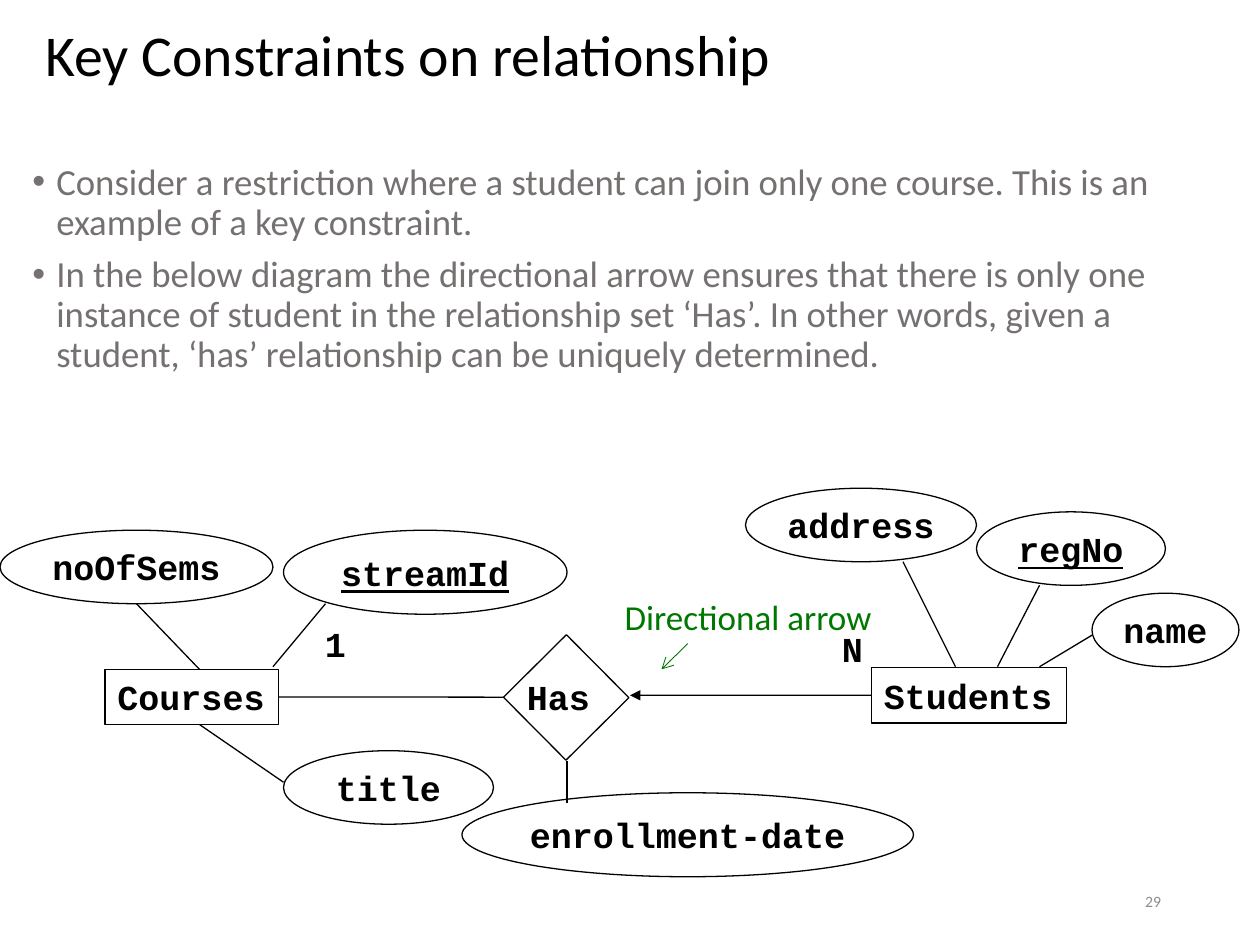
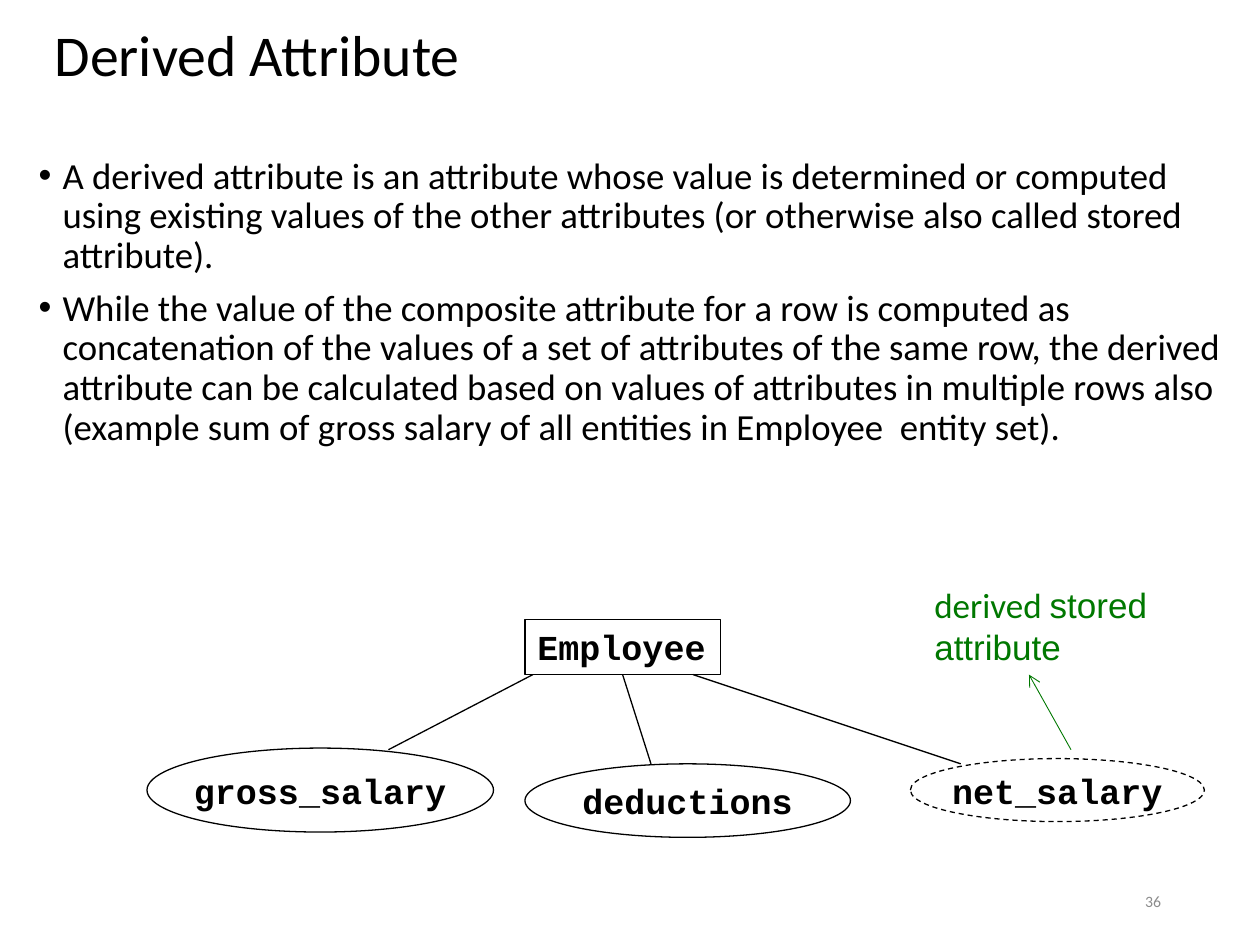
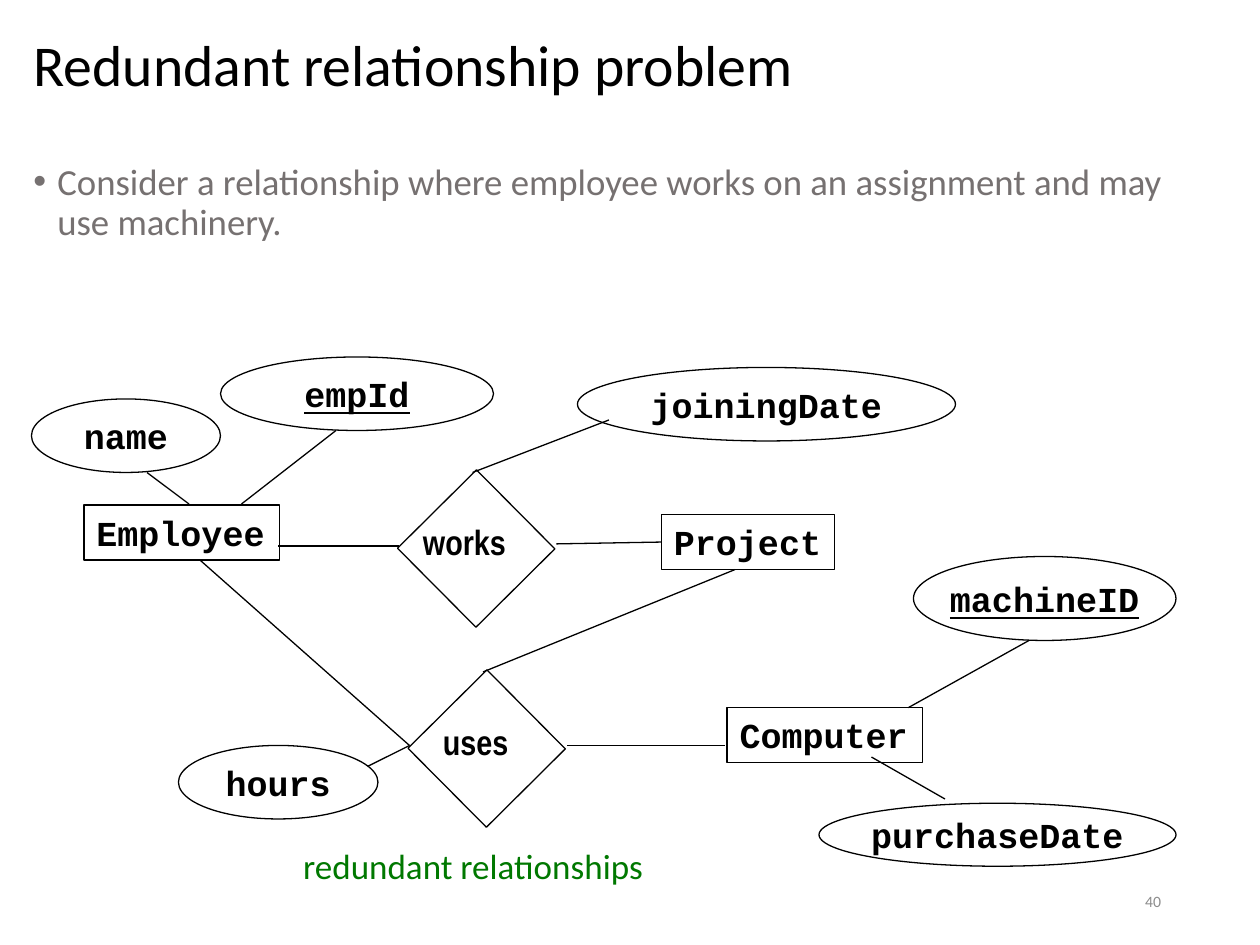
from lxml.etree import SubElement
from pptx import Presentation
from pptx.dml.color import RGBColor
from pptx.enum.dml import MSO_LINE
from pptx.enum.shapes import MSO_CONNECTOR, MSO_SHAPE
from pptx.enum.text import MSO_ANCHOR, MSO_AUTO_SIZE, PP_ALIGN
from pptx.oxml.ns import qn
from pptx.util import Inches, Pt

BLACK = RGBColor(0x00, 0x00, 0x00)
GREY = RGBColor(0x76, 0x71, 0x71)
PALE_GREY = RGBColor(0x8C, 0x8C, 0x8C)
GREEN = RGBColor(0x00, 0x78, 0x00)
SANS, MONO, NARROW = "Calibri", "Courier New", "Arial Narrow"

# The slide is a grid of 120 columns by 90 rows; every place below counts cells.
COLUMNS, ROWS = 120, 90
CELL = Inches(10) / COLUMNS
LINE_HEIGHT = 5.25
LEFT, BOTTOM, RIGHT = 1, 2, 3

KEY_ATTRIBUTES = {"regNo", "streamId", "empId", "machineID"}
DERIVED_ATTRIBUTES = {"net_salary"}

# entities: name, x, y, width             attributes: name, x, y, width, height
# relations: name, square x, y, side, label x, y, width, font
# labels: text, x, y, width, font, bold, colour
# lines and arrows: two ends, each a grid point or an entity and its side
SLIDES = [
    {
        "title": ("Key Constraints on relationship", 3.1, 0, 109, 11),
        "body": (1.9, 15, 116, 33, GREY),
        "bullets": [
            "Consider a restriction where a student can join only one course. "
            "This is an example of a key constraint.",
            "In the below diagram the directional arrow ensures that there is only one "
            "instance of student in the relationship set ‘Has’. In other words, given a "
            "student, ‘has’ relationship can be uniquely determined.",
        ],
        "number": "29",
        "entities": [("Courses", 10, 63.75, 16.5), ("Students", 83, 63.6, 18.6)],
        "attributes": [
            ("regNo", 93, 48.75, 18, 7), ("name", 104, 56.5, 14, 7),
            ("address", 71, 46.5, 22, 7), ("streamId", 27, 50.5, 27, 8),
            ("title", 27, 71.5, 20, 7), ("noOfSems", 0, 50.5, 26, 7),
            ("enrollment-date", 44, 75.5, 43, 8),
        ],
        "relations": [("Has", 49.7, 62.2, 8.45, 49, 63.75, 8.6, MONO)],
        "labels": [
            ("1", 29.75, 58.7, 4.4, MONO, True, BLACK),
            ("N", 79, 59.15, 4.4, MONO, True, BLACK),
            ("Directional arrow", 58.3, 56.15, 27.7, SANS, False, GREEN),
        ],
        "lines": [
            (("Courses", RIGHT), (48, 66.4)), ((31, 57.5), (26, 63.5)),
            ((19, 69), (27, 74.5)), ((95, 63.5), (99, 55.75)),
            ((19, 63.75), (13, 57.5)), ((91, 63.5), (86, 53.5)),
            ((54, 72.5), (54, 76.5)), ((99, 63.5), (104, 60.5)),
        ],
        "arrows": [
            (("Students", LEFT), (60, 66.22), BLACK, "triangle"),
            ((65.5, 61.3), (63, 63.75), GREEN, "arrow"),
        ],
    },
    {
        "title": ("Derived Attribute", 4, 0, 102, 11),
        "body": (2.5, 14.4, 116.2, 47, BLACK),
        "bullets": [
            "A derived attribute is an attribute whose value is determined or computed "
            "using existing values of the other attributes (or otherwise also called "
            "stored attribute).",
            "While the value of the composite attribute for a row is computed as "
            "concatenation of the values of a set of attributes of the same row, the "
            "derived attribute can be calculated based on values of attributes in "
            "multiple rows also (example sum of gross salary of all entities in "
            "Employee  entity set).",
        ],
        "number": "36",
        "entities": [("Employee", 50, 59, 18.6)],
        "attributes": [
            ("deductions", 50, 72.75, 31, 7), ("gross_salary", 14, 71.25, 33, 8),
            ("net_salary", 86.7, 72.25, 28, 6),
        ],
        "relations": [],
        "labels": [],
        "lines": [
            ((37, 71.4), (50.75, 64.25)), (("Employee", BOTTOM), (62, 72.75)),
            ((66, 64.25), (91.5, 72.75)),
        ],
        "arrows": [((102, 71.4), (98, 64.25), GREEN, "arrow")],
    },
    {
        "title": ("Redundant relationship problem", 2, -1, 120, 15),
        "body": (2, 15, 112, 12, GREY),
        "bullets": [
            "Consider a relationship where employee works on an assignment and may use "
            "machinery.",
        ],
        "number": "40",
        "entities": [
            ("Employee", 8, 48.1, 18.6), ("Project", 63, 49, 16.5),
            ("Computer", 69.25, 67.4, 18.6),
        ],
        "attributes": [
            ("name", 3, 38, 18, 7), ("joiningDate", 55, 35, 36, 7),
            ("machineID", 87, 53, 25, 8), ("purchaseDate", 78, 76.5, 34, 6),
            ("empId", 21, 34, 26, 7), ("hours", 17, 71, 19, 7),
        ],
        "relations": [
            ("works", 40.05, 46.95, 10.6, 39.1, 49, 10.4, NARROW),
            ("uses", 41.05, 66, 10.6, 41, 68, 8.8, NARROW),
        ],
        "labels": [("redundant relationships", 27.7, 79.8, 37.4, SANS, False, GREEN)],
        "lines": [
            ((18, 48), (14, 45)), ((23, 48), (32, 41)), ((26.5, 52), (38, 52)),
            ((53, 51.8), ("Project", LEFT)), ((19, 53.3), (39, 71)),
            ((54, 71), (69, 71)), ((86.5, 67.4), (98, 61)), ((83, 72.1), (90, 76.1)),
            ((45, 45), (58, 40)), ((39, 71), (35, 73)), ((70, 54.25), (46, 64)),
        ],
        "arrows": [],
    },
]


def cells(*counts):
    return [round(count * CELL) for count in counts]


def write(shape, text, font, size, color, bold=False, anchor=MSO_ANCHOR.TOP,
          align=PP_ALIGN.LEFT, wrap=False):
    """Put one paragraph in the shape and return it."""
    frame = shape.text_frame
    frame.word_wrap = wrap
    frame.vertical_anchor = anchor
    para = frame.paragraphs[0]
    para.add_run().text = text
    para.alignment = align
    para.font.name, para.font.size, para.font.bold = font, Pt(size), bold
    para.font.color.rgb = color
    return para


deck = Presentation()
deck.slide_width, deck.slide_height = cells(COLUMNS, ROWS)
title_only = deck.slide_layouts[5]

for content in SLIDES:
    page = deck.slides.add_slide(title_only)
    shapes = page.shapes

    heading, *place = content["title"]
    title = shapes.title
    title.left, title.top, title.width, title.height = cells(*place)
    para = write(title, heading, SANS, 33, BLACK, anchor=MSO_ANCHOR.MIDDLE, wrap=True)
    para.line_spacing = 0.9
    title.text_frame.auto_size = MSO_AUTO_SIZE.NONE

    *place, body_color = content["body"]
    body = shapes.add_textbox(*cells(*place)).text_frame
    body.word_wrap = True
    for index, bullet in enumerate(content["bullets"]):
        para = body.add_paragraph() if index else body.paragraphs[0]
        para.add_run().text = bullet
        properties = para._p.get_or_add_pPr()
        properties.set("marL", str(Inches(0.19)))
        properties.set("indent", str(-Inches(0.19)))
        SubElement(properties, qn("a:buFont")).set("typeface", "Arial")
        SubElement(properties, qn("a:buChar")).set("char", "•")
        para.line_spacing = 0.9
        para.space_before = Pt(7.5 if index else 0)
        para.font.name, para.font.size = SANS, Pt(21)
        para.font.color.rgb = body_color

    number_box = shapes.add_textbox(*cells(84.75, 83.4, 27, 4.8))
    write(number_box, content["number"], SANS, 9, PALE_GREY,
          anchor=MSO_ANCHOR.MIDDLE, align=PP_ALIGN.RIGHT, wrap=True)

    outlined = []
    entities = {}
    for name, x, y, width in content["entities"]:
        box = shapes.add_shape(MSO_SHAPE.RECTANGLE, *cells(x, y, width, LINE_HEIGHT))
        write(box, name, MONO, 20, BLACK, bold=True)
        entities[name] = box
        outlined.append(box)

    for name, *place in content["attributes"]:
        oval = shapes.add_shape(MSO_SHAPE.OVAL, *cells(*place))
        para = write(oval, name, MONO, 20, BLACK, bold=True,
                     anchor=MSO_ANCHOR.MIDDLE, align=PP_ALIGN.CENTER)
        if name in KEY_ATTRIBUTES:
            para.font.underline = True
        if name in DERIVED_ATTRIBUTES:
            oval.line.dash_style = MSO_LINE.DASH
        outlined.append(oval)

    labels = list(content["labels"])
    for name, x, y, side, label_x, label_y, width, font in content["relations"]:
        square = shapes.add_shape(MSO_SHAPE.RECTANGLE, *cells(x, y, side, side))
        square.rotation = 45.2
        outlined.append(square)
        labels.append((name, label_x, label_y, width, font, True, BLACK))

    for shape in outlined:
        shape.shadow.inherit = False
        shape.fill.background()
        shape.line.color.rgb = BLACK
        shape.line.width = Pt(0.75)

    for text, x, y, width, font, bold, color in labels:
        label = shapes.add_textbox(*cells(x, y, width, LINE_HEIGHT))
        write(label, text, font, 20, color, bold)
        label.text_frame.auto_size = MSO_AUTO_SIZE.SHAPE_TO_FIT_TEXT

    plain_lines = [(start, end, BLACK, None) for start, end in content["lines"]]
    for start, end, color, head in plain_lines + content["arrows"]:
        points = [(0, 0) if point[0] in entities else point for point in (start, end)]
        link = shapes.add_connector(MSO_CONNECTOR.STRAIGHT, *cells(*points[0], *points[1]))
        if start[0] in entities:
            link.begin_connect(entities[start[0]], start[1])
        if end[0] in entities:
            link.end_connect(entities[end[0]], end[1])
        link.line.color.rgb = color
        link.line.width = Pt(0.5 if color == GREEN else 0.75)
        if head:
            SubElement(link.line._get_or_add_ln(), qn("a:tailEnd")).set("type", head)
        SubElement(link._element.spPr, qn("a:effectLst"))

# The note on the derived attribute mixes two fonts.
note = deck.slides[1].shapes.add_textbox(*cells(87.8, 55, 28.4, 9.25))
para = write(note, "derived ", SANS, 20, GREEN, wrap=True)
span = para.add_run()
span.text = "stored attribute"
span.font.name = "Arial"

deck.save("out.pptx")
